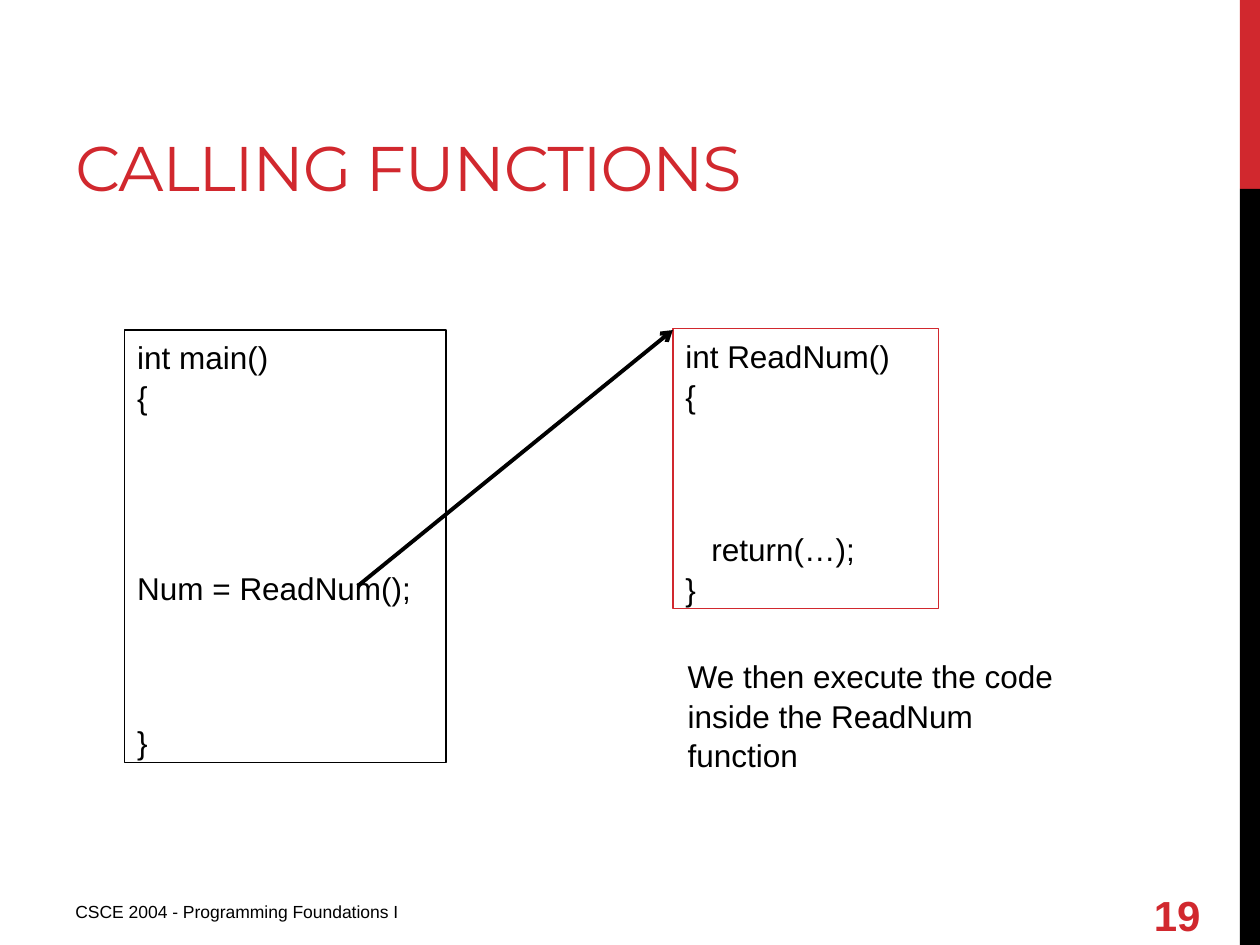
from pptx import Presentation
from pptx import util as u
from pptx.dml.color import RGBColor
from pptx.enum import shapes, text
from pptx.oxml.ns import qn
from lxml import etree

HUES = {"red": "D1282E", "black": "000000"}
LEAD = 1.05         # line spacing of body text
PITCH = 21.7        # height in points of one 18 pt line at that spacing


def hue(name):
    return RGBColor.from_string(HUES[name])


def style(para, size, color="black", face="Arial", bold=False):
    font = para.font
    font.size, font.name, font.bold = u.Pt(size), face, bold
    font.color.rgb = hue(color)


def label(slide, box, words, size, color="black", face="Arial",
          bold=False, anchor=text.MSO_ANCHOR.TOP):
    frame = slide.shapes.add_textbox(*map(u.Inches, box)).text_frame
    frame.word_wrap = True
    frame.vertical_anchor = anchor
    para = frame.paragraphs[0]
    para.text = words
    style(para, size, color, face, bold)
    return para


def stripe(slide, box):
    """Draw the red and black side band."""
    left, top, width, height = box
    split = height / 5
    for color, y, tall in (("red", top, split),
                           ("black", top + split, height - split)):
        band = slide.shapes.add_shape(
            shapes.MSO_SHAPE.RECTANGLE,
            *map(u.Inches, (left, y, width, tall)))
        band.shadow.inherit = False
        band.fill.solid()
        band.fill.fore_color.rgb = hue(color)
        band.line.fill.background()


def title(slide, box, words):
    para = label(slide, box, words, 36, "red", "Montserrat",
                 anchor=text.MSO_ANCHOR.BOTTOM)
    para.runs[0].font._element.set("spc", "-60")


def code(slide, box, lines, color):
    """Frame code lines, each given with the number of empty lines above it."""
    panel = slide.shapes.add_shape(shapes.MSO_SHAPE.RECTANGLE,
                                   *map(u.Inches, box))
    panel.shadow.inherit = False
    panel.fill.background()
    panel.line.color.rgb = hue(color)
    panel.line.width = u.Pt(0.75)
    frame = panel.text_frame
    frame.word_wrap = True
    frame.vertical_anchor = text.MSO_ANCHOR.TOP
    for i, (gap, words) in enumerate(lines):
        para = frame.add_paragraph() if i else frame.paragraphs[0]
        para.text = words
        para.alignment = text.PP_ALIGN.LEFT
        para.line_spacing = LEAD
        if gap:
            para.space_before = u.Pt(gap * PITCH)
        style(para, 18)


def arrow(slide, start, end):
    line = slide.shapes.add_connector(
        shapes.MSO_CONNECTOR.STRAIGHT, *map(u.Inches, start + end))
    line.line.color.rgb = hue("black")
    line.line.width = u.Pt(2.25)
    etree.SubElement(line.line._get_or_add_ln(), qn("a:tailEnd"), type="arrow")
    etree.SubElement(line._element.spPr, qn("a:effectLst"))


def note(slide, box, words):
    label(slide, box, words, 18).line_spacing = LEAD


def footer(slide, box, words, page):
    left, top, width, height = box
    label(slide, (left, top + 0.04, 3.75, 0.31), words, 10)
    label(slide, (left + width - 0.74, top, 0.74, height), page, 24, "red",
          bold=True, anchor=text.MSO_ANCHOR.MIDDLE)


def main():
    deck = Presentation()
    deck.slide_width, deck.slide_height = u.Inches(10), u.Inches(7.5)
    slide = deck.slides.add_slide(deck.slide_layouts[6])
    stripe(slide, (9.84, 0, 0.16, 7.5))
    title(slide, (0.5, 0.17, 6.33, 1.5), "CALLING FUNCTIONS")
    footer(slide, (0.5, 7.06, 9.3, 0.4),
           "CSCE 2004 - Programming Foundations I", "19")
    code(slide, (0.99, 2.62, 2.55, 3.43),
         [(0, "int main()"), (0, "{"), (4, "Num = ReadNum();"), (3, "}")],
         "black")
    code(slide, (5.34, 2.61, 2.11, 2.22),
         [(0, "int ReadNum()"), (0, "{"), (3, "   return(…);"), (0, "}")],
         "red")
    arrow(slide, (2.84, 4.65), (5.34, 2.62))
    note(slide, (5.36, 5.15, 3.4, 0.71),
         "We then execute the code inside the ReadNum function")
    deck.save("out.pptx")


if __name__ == "__main__":
    main()
